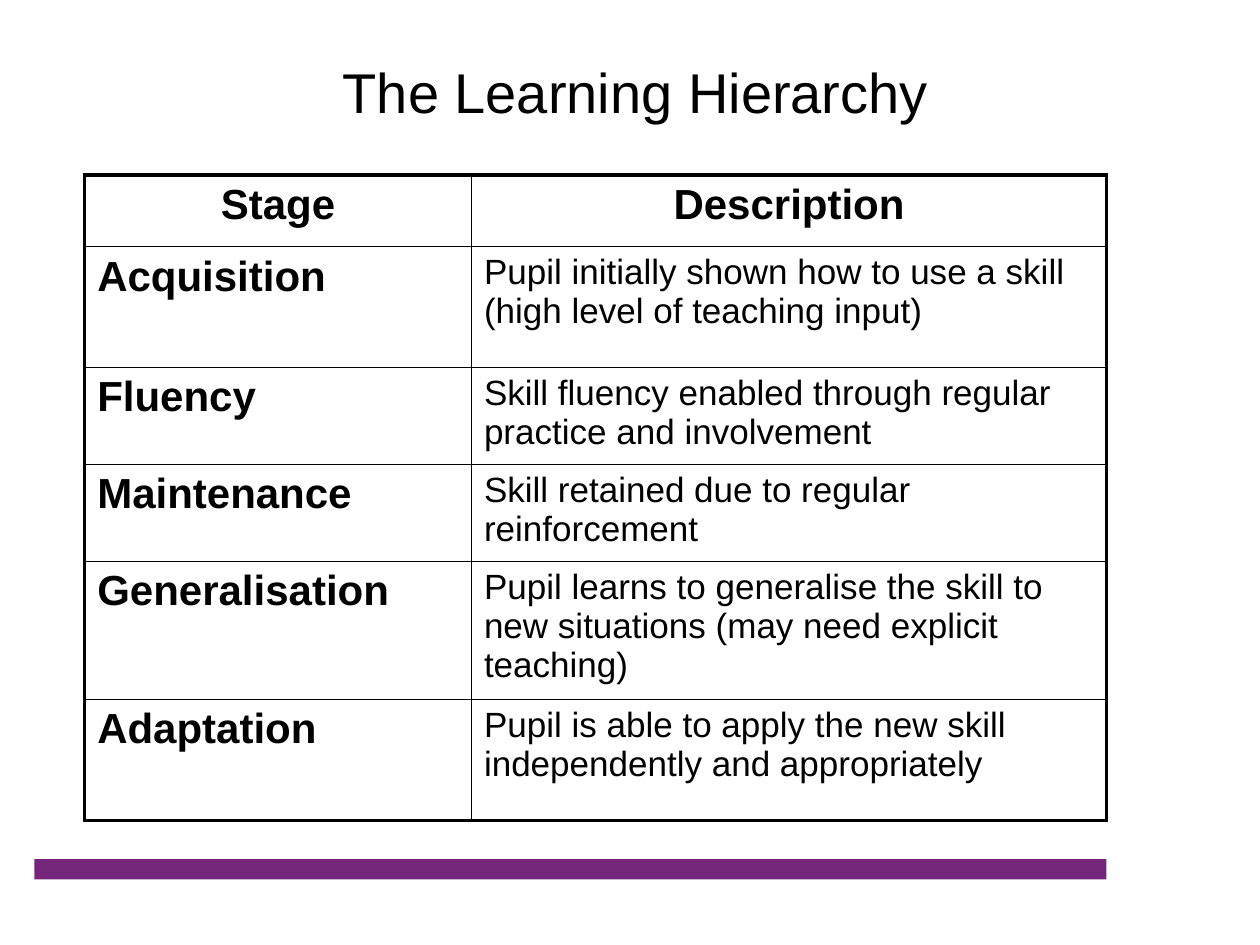
from typing import NamedTuple

from lxml.etree import SubElement
from pptx import Presentation
from pptx.dml.color import RGBColor
from pptx.enum.text import MSO_ANCHOR, PP_ALIGN
from pptx.enum.shapes import MSO_SHAPE
from pptx.oxml.ns import qn
from pptx.util import Pt

BLACK = RGBColor(0, 0, 0)
WHITE = RGBColor(255, 255, 255)
PURPLE = RGBColor(0x73, 0x26, 0x7A)
FONT = "Arial"
THIN, THICK = 1, 2.25
WIDTHS = (221, 363)


class Stage(NamedTuple):
    name: str
    about: str
    height: float


STAGES = [
    Stage("Stage", "Description", 41),
    Stage("Acquisition", "Pupil initially shown how to use a skill "
          "(high level of teaching input)", 69),
    Stage("Fluency", "Skill fluency enabled through regular "
          "practice and involvement", 55.4),
    Stage("Maintenance", "Skill retained due to regular reinforcement", 55.4),
    Stage("Generalisation", "Pupil learns to generalise the skill to "
          "new situations (may need explicit teaching)", 79),
    Stage("Adaptation", "Pupil is able to apply the new skill "
          "independently and appropriately", 69),
]


def style(para, size: float, bold: bool, align) -> None:
    para.alignment = align
    font = para.font
    font.name, font.size, font.bold = FONT, Pt(size), bold
    font.color.rgb = BLACK


def border(cell, sides: dict[str, float]) -> None:
    props = cell._tc.get_or_add_tcPr()
    for spot, (side, width) in enumerate(sides.items()):
        line = SubElement(props, qn(f"a:{side}"), w=str(Pt(width)))
        fill = SubElement(line, qn("a:solidFill"))
        SubElement(fill, qn("a:srgbClr"), val=str(BLACK))
        props.insert(spot, line)  # borders come before the cell fill


def draw_cell(table, row: int, col: int, text: str) -> None:
    cell = table.cell(row, col)
    cell.text = text
    head = row == 0
    bold = head or col == 0
    style(cell.text_frame.paragraphs[0], 24 if bold else 20, bold,
          PP_ALIGN.CENTER if head else PP_ALIGN.LEFT)
    cell.fill.solid()
    cell.fill.fore_color.rgb = WHITE
    last = row == len(STAGES) - 1
    border(cell, {
        "lnL": THICK if col == 0 else THIN,
        "lnR": THICK if col == 1 else THIN,
        "lnT": THICK if head else THIN,
        "lnB": THICK if last else THIN,
    })


def draw_table(slide) -> None:
    total = sum(stage.height for stage in STAGES)
    table = slide.shapes.add_table(
        len(STAGES), len(WIDTHS), Pt(48.4), Pt(100),
        Pt(sum(WIDTHS)), Pt(total)).table
    table.first_row = table.horz_banding = False
    for col, width in enumerate(WIDTHS):
        table.columns[col].width = Pt(width)
    for row, stage in enumerate(STAGES):
        table.rows[row].height = Pt(stage.height)
        for col, text in enumerate((stage.name, stage.about)):
            draw_cell(table, row, col, text)


def main() -> None:
    deck = Presentation()
    deck.slide_width, deck.slide_height = Pt(720), Pt(540)
    slide = deck.slides.add_slide(deck.slide_layouts[5])

    # Bar along the foot
    bar = slide.shapes.add_shape(
        MSO_SHAPE.RECTANGLE, Pt(19.6), Pt(491), Pt(612.6), Pt(11.5))
    bar.shadow.inherit = False
    bar.fill.solid()
    bar.fill.fore_color.rgb = PURPLE
    bar.line.fill.background()

    # Title
    title = slide.shapes.title
    title.left, title.top = Pt(72), Pt(21.6)
    title.width, title.height = Pt(582.5), Pt(61.2)
    frame = title.text_frame
    frame.text = "The Learning Hierarchy"
    frame.vertical_anchor = MSO_ANCHOR.MIDDLE
    style(frame.paragraphs[0], 32, False, PP_ALIGN.CENTER)

    # Stages and what they mean
    draw_table(slide)
    deck.save("out.pptx")


if __name__ == "__main__":
    main()
